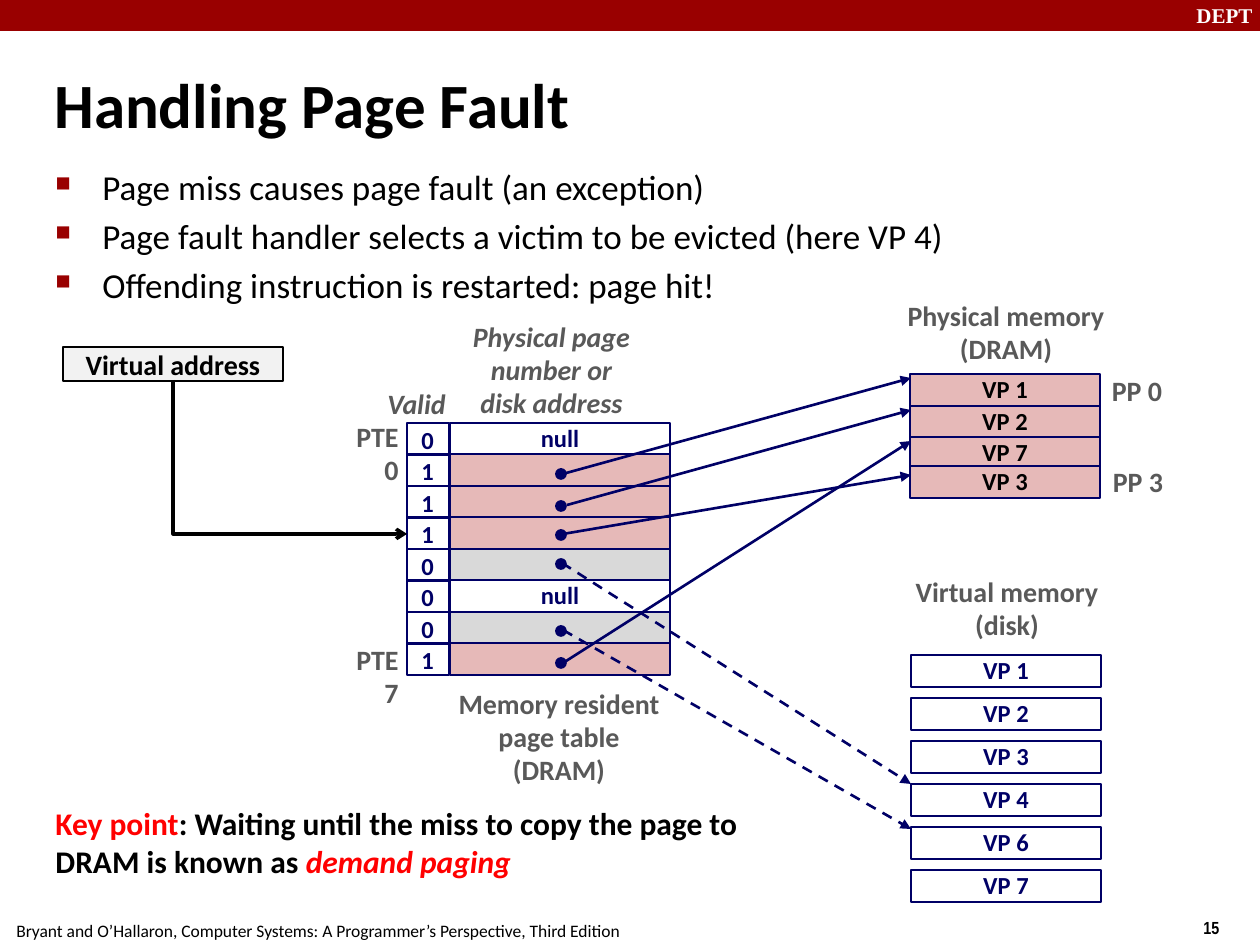
from lxml.etree import SubElement
from pptx import Presentation
from pptx.dml.color import RGBColor
from pptx.enum.dml import MSO_LINE
from pptx.enum.shapes import MSO_CONNECTOR, MSO_SHAPE
from pptx.enum.text import MSO_ANCHOR, PP_ALIGN
from pptx.oxml.ns import qn
from pptx.util import Pt

PX = 914400 / 126
HEX = {
    "red": "990000", "pink": "E6B9B8", "gray": "D9D9D9", "pale": "F2F2F2",
    "navy": "000066", "dim": "595959", "black": "000000", "white": "FFFFFF",
    "key": "FF0000",
}
INK = {name: RGBColor.from_string(code) for name, code in HEX.items()}
LEFT, MID, RIGHT = PP_ALIGN.LEFT, PP_ALIGN.CENTER, PP_ALIGN.RIGHT

deck = Presentation()
deck.slide_width, deck.slide_height = round(1260 * PX), round(945 * PX)
slide = deck.slides.add_slide(deck.slide_layouts[6])
shapes = slide.shapes


def block(at, fill=None, edge=None, width=1.5, kind=MSO_SHAPE.RECTANGLE):
    shape = shapes.add_shape(kind, *[round(n * PX) for n in at])
    shape.shadow.inherit = False
    if fill:
        shape.fill.solid()
        shape.fill.fore_color.rgb = INK[fill]
    else:
        shape.fill.background()
    if edge:
        shape.line.color.rgb = INK[edge]
        shape.line.width = Pt(width)
    else:
        shape.line.fill.background()
    return shape


def write(at, text, size, ink, align=LEFT, bold=True, slant=False, wrap=False,
          face="Calibri", space=None, anchor=MSO_ANCHOR.TOP, shape=None):
    if shape is None:
        shape = shapes.add_textbox(*[round(n * PX) for n in at])
    frame = shape.text_frame
    frame.word_wrap = wrap
    frame.vertical_anchor = anchor
    frame.text = text
    for para in frame.paragraphs:
        para.alignment = align
        para.line_spacing = space
        font = para.font
        font.name, font.size, font.bold, font.italic = face, Pt(size), bold, slant
        font.color.rgb = INK[ink]
    return frame


block((0, 0, 1260, 31), "red")
write((1184, -4, 84, 38), "DEPT", 12, "white", face="Times New Roman", wrap=True)
write((1191, 911, 94, 37), "15", 10, "black", face="Arial Narrow")
write((4, 914, 629, 34),
      "Bryant and O’Hallaron, Computer Systems: A Programmer’s Perspective, Third Edition",
      10, "black", bold=False)
write((42, 49, 1142, 108), "Handling Page Fault", 36, "black", wrap=True,
      anchor=MSO_ANCHOR.MIDDLE)

points = write((43, 159, 1144, 105),
               "Page miss causes page fault (an exception)\n"
               "Page fault handler selects a victim to be evicted (here VP 4)\n"
               "Offending instruction is restarted: page hit!",
               20, "black", bold=False, wrap=True)
for para in points.paragraphs:
    para.space_before = Pt(4)
    props = para._p.get_or_add_pPr()
    props.set("marL", str(round(47 * PX)))
    props.set("indent", str(round(-47 * PX)))
    tint = SubElement(props, qn("a:buClr"))
    SubElement(tint, qn("a:srgbClr"), val=HEX["red"])
    SubElement(props, qn("a:buSzPct"), val="60000")
    SubElement(props, qn("a:buChar"), char="■")

rows = [(0, "white", "null"), (1, "pink", ""), (1, "pink", ""), (1, "pink", ""),
        (0, "gray", ""), (0, "white", "null"), (0, "gray", ""), (1, "pink", "")]
for i, (valid, fill, text) in enumerate(rows):
    step = i * 63 // 2
    cell = block((450, 423 + step, 220, 32), fill, "navy")
    if text:
        write(None, text, 14, "navy", MID, space=0.98, anchor=MSO_ANCHOR.MIDDLE, shape=cell)
    block((407, 423 + step, 42, 32), None, "navy")
    write((409, 420 + step, 38, 43), str(valid), 14, "navy", space=0.98)

frames = [("VP 1", 910, 374, "pink", "black"), ("VP 2", 910, 406, "pink", "black"),
          ("VP 7", 910, 437, "pink", "black"), ("VP 3", 910, 466, "pink", "black")]
for i, num in enumerate((1, 2, 3, 4, 6, 7)):
    frames.append((f"VP {num}", 911, 655 + i * 43, "white", "navy"))
for text, x, y, fill, ink in frames:
    page = block((x, y, 190, 32), fill, "navy")
    write(None, text, 14, ink, MID, space=0.98, anchor=MSO_ANCHOR.MIDDLE, shape=page)

tags = [
    ((446, 682, 226, 112), "Memory resident\npage table\n(DRAM)", MID, False),
    ((895, 294, 222, 79), "Physical memory\n(DRAM)", MID, False),
    ((903, 570, 208, 79), "Virtual memory\n(disk)", MID, False),
    ((375, 382, 95, 47), "Valid", LEFT, True),
    ((460, 315, 183, 112), "Physical page\nnumber or\ndisk address", MID, True),
    ((324, 415, 87, 47), "PTE 0", RIGHT, False),
    ((324, 638, 87, 47), "PTE 7", RIGHT, False),
    ((1099, 369, 76, 47), "PP 0", MID, False),
    ((1100, 460, 76, 47), "PP 3", MID, False),
]
for at, text, align, slant in tags:
    write(at, text, 16, "dim", align, slant=slant, space=0.98)

start = block((63, 347, 220, 34), "pale", "black", 1)
write(None, "Virtual address", 16, "black", MID, wrap=True,
      anchor=MSO_ANCHOR.MIDDLE, shape=start)

arrows = [
    (559, 475, 911, 378, False), (567, 505, 911, 410, False),
    (563, 534, 911, 475, False), (563, 663, 911, 441, False),
    (562, 563, 911, 784, True), (563, 630, 911, 829, True),
    (367, 340, 213, 574, None),
]
for x1, y1, x2, y2, dash in arrows:
    bent = dash is None
    kind = MSO_CONNECTOR.ELBOW if bent else MSO_CONNECTOR.STRAIGHT
    link = shapes.add_connector(kind, *[round(n * PX) for n in (x1, y1, x2, y2)])
    link.line.color.rgb = INK["black" if bent else "navy"]
    link.line.width = Pt(2 if bent else 1.5)
    if dash:
        link.line.dash_style = MSO_LINE.DASH
    props = link._element.spPr
    SubElement(props.find(qn("a:ln")), qn("a:tailEnd"), type="arrow" if bent else "triangle")
    SubElement(props, qn("a:effectLst"))
    if bent:
        props.find(qn("a:xfrm")).set("rot", "16200000")
        props.find(qn("a:prstGeom")).set("prst", "bentConnector2")

for y in (469, 501, 530, 559, 626, 658):
    block((556, y, 10, 10), "navy", "navy", 1, MSO_SHAPE.OVAL)

note = write((43, 798, 798, 88), "", 18, "black", wrap=True)
para = note.paragraphs[0]
for text, ink, slant in (
    ("Key point", "key", False),
    (": Waiting until the miss to copy the page to DRAM is known as ", "black", False),
    ("demand paging", "key", True),
):
    run = para.add_run()
    run.text = text
    run.font.color.rgb = INK[ink]
    run.font.italic = slant

deck.save("out.pptx")
